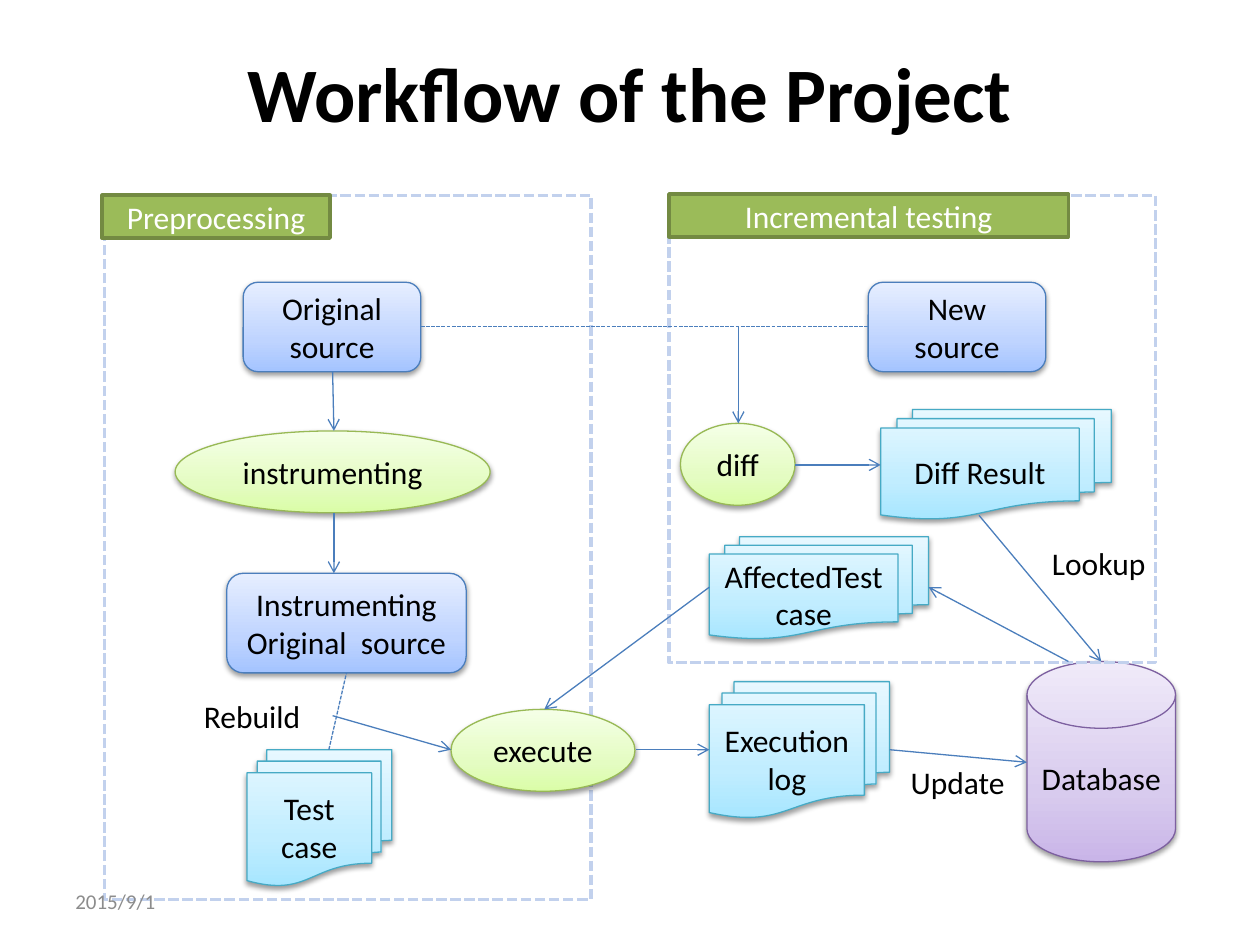
"""Build the project workflow slide as a flow diagram."""
from lxml.etree import SubElement
from pptx import Presentation
from pptx.dml.color import RGBColor
from pptx.enum.dml import MSO_LINE
from pptx.enum.shapes import MSO_CONNECTOR, MSO_SHAPE
from pptx.enum.text import MSO_ANCHOR, PP_ALIGN
from pptx.oxml.ns import qn
from pptx.util import Inches, Pt

RECT, ROUNDED, OVAL = MSO_SHAPE.RECTANGLE, MSO_SHAPE.ROUNDED_RECTANGLE, MSO_SHAPE.OVAL
DOCUMENTS, DISK = MSO_SHAPE.FLOWCHART_MULTIDOCUMENT, MSO_SHAPE.FLOWCHART_MAGNETIC_DISK
STRAIGHT, DASH = MSO_CONNECTOR.STRAIGHT, MSO_LINE.SQUARE_DOT
LEFT, CENTER = PP_ALIGN.LEFT, PP_ALIGN.CENTER
TOP, MIDDLE = MSO_ANCHOR.TOP, MSO_ANCHOR.MIDDLE
BLUE = "4B7EBC"

STYLES = {
    "source": (ROUNDED, BLUE, ("A4C4FF", "BFD4FF", "E6EEFF")),
    "step": (OVAL, "98B955", ("DAFDA7", "E4FCC2", "F5FFE7")),
    "files": (DOCUMENTS, "46AAC5", ("A7E6FF", "C1EDFF", "E7F8FF")),
    "store": (DISK, "7D60A0", ("C9B5E8", "D8CBEE", "F0EAF9")),
}

prs = Presentation()
prs.slide_width, prs.slide_height = Inches(10), Inches(7.5)
slide = prs.slides.add_slide(prs.slide_layouts[6])
shapes = slide.shapes


def write(shape, text, size=18, color="000000", bold=False, align=CENTER, anchor=MIDDLE, wrap=True):
    frame = shape.text_frame
    frame.word_wrap, frame.vertical_anchor = wrap, anchor
    frame.text = text
    for paragraph in frame.paragraphs:
        paragraph.alignment = align
        font = paragraph.runs[0].font
        font.name, font.size, font.bold = "Calibri", Pt(size), bold
        font.color.rgb = RGBColor.from_string(color)


def add_outlined(kind, box, line_color, width):
    shape = shapes.add_shape(kind, *map(Inches, box))
    shape.shadow.inherit = False
    shape.fill.background()
    shape.line.color.rgb = RGBColor.from_string(line_color)
    shape.line.width = Pt(width)
    return shape


write(shapes.add_textbox(*map(Inches, (0.5, 0.3, 9, 0.85))), "Workflow of the Project", size=44, bold=True)

preprocessing = add_outlined(RECT, (0.83, 1.55, 3.86, 5.59), "C2D1ED", 2)
preprocessing.line.dash_style = DASH

nodes = [
    ("source", "Original source", (1.93, 2.24, 1.41, 0.71)),
    ("step", "instrumenting", (1.39, 3.42, 2.5, 0.65)),
    ("files", "Test case", (1.96, 5.95, 1.15, 1.08)),
    ("source", "Instrumenting\nOriginal  source", (1.8, 4.55, 1.9, 0.79)),
    ("step", "execute", (3.58, 5.63, 1.46, 0.65)),
    ("store", "Database", (8.15, 5.25, 1.18, 1.59)),
    ("files", "Execution\nlog", (5.63, 5.41, 1.43, 1.08)),
    ("source", "New\nsource", (6.89, 2.24, 1.41, 0.71)),
    ("step", "diff", (5.4, 3.36, 0.91, 0.65)),
    ("files", "Diff Result", (6.99, 3.25, 1.83, 0.87)),
    ("files", "AffectedTest case", (5.63, 4.26, 1.74, 0.81)),
]
for style, label, box in nodes:
    kind, outline, gradient = STYLES[style]
    node = add_outlined(kind, box, outline, 0.75)
    node.fill.gradient()
    node.fill.gradient_angle = 90
    properties = node._element.spPr
    stops = properties.find(qn("a:gradFill")).find(qn("a:gsLst"))
    stops.clear()
    for position, color in zip((0, 35, 100), gradient):
        stop = SubElement(stops, qn("a:gs"), pos=str(position * 1000))
        SubElement(stop, qn("a:srgbClr"), val=color)
    shadow = SubElement(properties.find(qn("a:effectLst")), qn("a:outerShdw"),
                        blurRad=str(Pt(3.1)), dist=str(Pt(1.6)), dir="5400000", rotWithShape="0")
    SubElement(SubElement(shadow, qn("a:srgbClr"), val="000000"), qn("a:alpha"), val="38000")
    write(node, label)

testing = add_outlined(RECT, (5.31, 1.55, 3.86, 3.71), "C2D1ED", 2)
testing.line.dash_style = DASH

for phase, box in [("Preprocessing", (0.81, 1.55, 1.81, 0.34)),
                   ("Incremental testing", (5.31, 1.54, 3.17, 0.34))]:
    tag = add_outlined(RECT, box, "738A42", 2)
    tag.fill.solid()
    tag.fill.fore_color.rgb = RGBColor.from_string("9BBB59")
    write(tag, phase, color="FFFFFF")

flows = [
    ((2.64, 2.95), (2.65, 3.42), True),
    ((2.65, 4.07), (2.65, 4.55), True),
    ((2.61, 5.95), (2.75, 5.34), False),
    ((2.64, 5.68), (3.58, 5.95), True),
    ((5.05, 5.95), (5.63, 5.95), True),
    ((7.06, 5.95), (8.15, 6.05), True),
    ((5.86, 2.59), (5.86, 3.36), True),
    ((3.34, 2.59), (6.89, 2.59), False),
    ((6.31, 3.69), (6.99, 3.69), True),
    ((7.77, 4.09), (8.74, 5.25), True),
    ((8.48, 5.25), (7.37, 4.66), True),
    ((5.63, 4.66), (4.32, 5.63), True),
]
for start, end, directed in flows:
    flow = shapes.add_connector(STRAIGHT, *map(Inches, start + end))
    flow.line.color.rgb = RGBColor.from_string(BLUE)
    flow.line.width = Pt(0.75)
    if directed:
        SubElement(flow.line._get_or_add_ln(), qn("a:tailEnd"), type="arrow")
    else:
        flow.line.dash_style = DASH
    SubElement(flow._element.spPr, qn("a:effectLst"))

for action, box in [("Rebuild", (1.52, 5.48, 0.98, 0.4)),
                    ("Update", (7.13, 6.01, 0.96, 0.4)),
                    ("Lookup", (8.25, 4.27, 0.95, 0.4))]:
    write(shapes.add_textbox(*map(Inches, box)), action, align=LEFT, anchor=TOP, wrap=False)

write(shapes.add_textbox(*map(Inches, (0.5, 6.95, 2.33, 0.4))), "2015/9/1", size=12, color="8C8C8C", align=LEFT)

prs.save("out.pptx")
